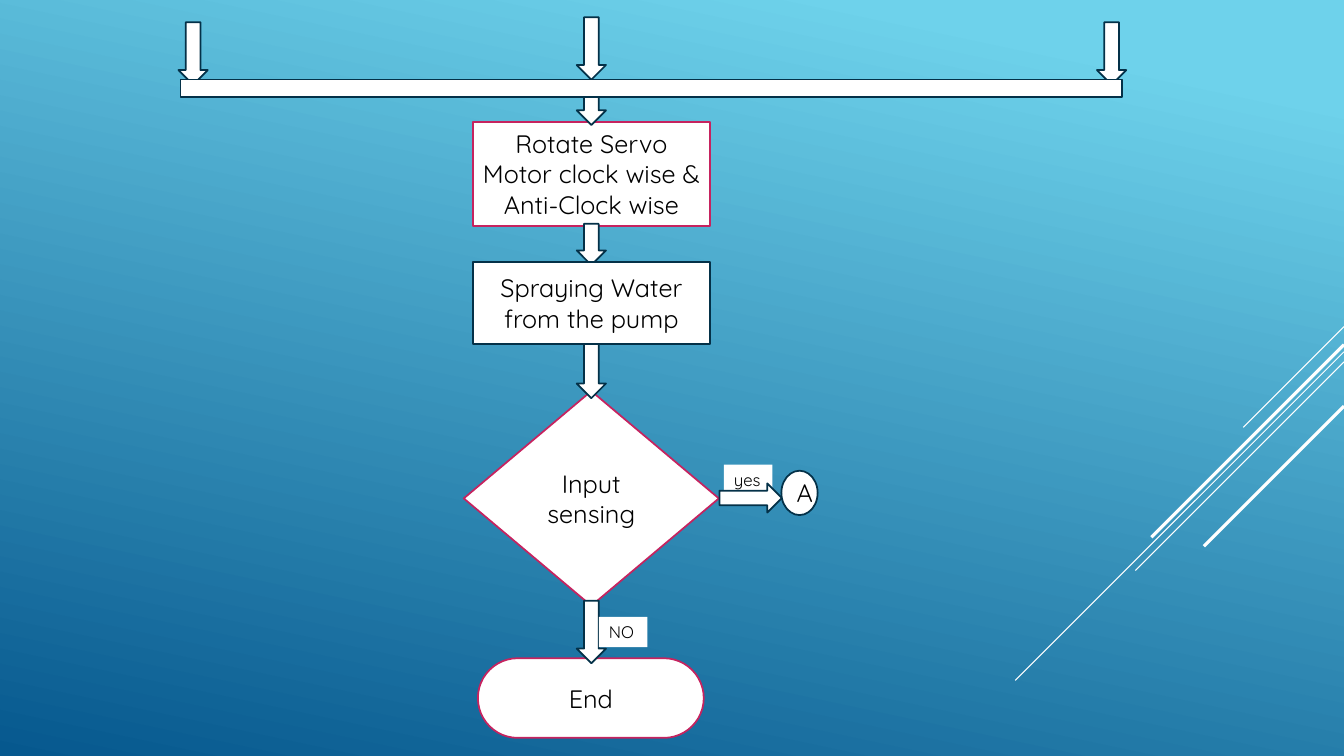
from collections import namedtuple
from pptx import Presentation
from pptx.dml.color import RGBColor
from pptx.enum.shapes import MSO_CONNECTOR as Connector, MSO_SHAPE as Shape
from pptx.enum.text import MSO_ANCHOR as Anchor, PP_ALIGN as Align
from pptx.oxml.ns import qn
from pptx.util import Inches, Pt

Box = namedtuple("Box", "left top width height")

WHITE, BLACK, NAVY, CRIMSON = "FFFFFF", "000000", "043148", "C6235F"
ARROW_WIDTH, ARROW_LENGTH = 0.29, 0.62
STEP_FONT = {"name": "Quicksand", "size": Pt(18)}
LABEL_FONT = {"name": "Quicksand", "size": Pt(12)}


def color(value):
    return RGBColor.from_string(value)


def inside(box, left, top, width, height):
    return Box(box.left + left, box.top + top, width, height)


def apply_format(target, values):
    for name, value in values.items():
        setattr(target, name, value)


def add_part(page, kind, box, outline=NAVY):
    part = page.shapes.add_shape(kind, *map(Inches, box))
    part.shadow.inherit = False
    part.fill.solid()
    part.fill.fore_color.rgb = color(WHITE)
    if outline:
        part.line.color.rgb = color(outline)
        part.line.width = Pt(1.25)
    else:
        part.line.fill.background()
    return part


def write(part, text, font, align, anchor):
    apply_format(part.text_frame, {"word_wrap": True, "vertical_anchor": anchor})
    para = part.text_frame.paragraphs[0]
    para.alignment = align
    span = para.add_run()
    span.text = text
    apply_format(span.font, font)
    span.font.color.rgb = color(BLACK)


def add_step(page, kind, box, text, outline=NAVY):
    step = add_part(page, kind, box, outline)
    write(step, text, STEP_FONT, Align.CENTER, Anchor.MIDDLE)
    return step


def add_label(page, box, text):
    label = add_part(page, Shape.RECTANGLE, box, None)
    write(label, text, LABEL_FONT, Align.LEFT, Anchor.TOP)


def add_arrow(page, box, left, top, length=ARROW_LENGTH):
    return add_part(page, Shape.DOWN_ARROW, inside(box, left, top, ARROW_WIDTH, length))


def paint_background(page):
    fill = page.background.fill
    fill.gradient()
    fill.gradient_angle = 258
    for stop, (position, value) in zip(fill.gradient_stops, [(0.1, "6ED2EB"), (1, "06588E")]):
        stop.position = position
        stop.color.rgb = color(value)


def draw_streaks(page, box):
    right = box.left + box.width
    streaks = [(0, 1, 0.75), (0.25, 3.26, 0.75), (0.35, 2.07, 0.75), (0.18, 1.91, 2.25), (0.79, 1.39, 2.25)]
    for drop, reach, weight in streaks:
        top = box.top + drop
        ends = (right, top, right - reach, top + reach)
        streak = page.shapes.add_connector(Connector.STRAIGHT, *map(Inches, ends))
        streak.line.color.rgb = color(WHITE)
        streak.line.width = Pt(weight)
        streak._element.spPr.append(streak._element.makeelement(qn("a:effectLst"), {}))


def draw_decision(page, box):
    end = add_step(page, Shape.ROUNDED_RECTANGLE, inside(box, 0.14, 2.65, 2.24, 0.79), "End", CRIMSON)
    end.adjustments[0] = 0.5
    add_step(page, Shape.DIAMOND, inside(box, 0, 0, 2.53, 2.13), "Input sensing", CRIMSON)
    add_arrow(page, box, 1.12, 2.08)
    add_label(page, inside(box, 1.34, 2.24, 0.48, 0.3), "NO")
    add_label(page, inside(box, 2.58, 0.73, 0.48, 0.3), "yes")
    add_arrow(page, box, 2.7, 0.75).rotation = 270
    add_step(page, Shape.OVAL, inside(box, 3.15, 0.79, 0.36, 0.44), "A")


def draw_steps(page, box):
    add_step(page, Shape.RECTANGLE, inside(box, 0, 0, box.width, 1.03),
             "Rotate Servo Motor clock wise & Anti-Clock wise", CRIMSON)
    for top, length in [(-0.34, 0.37), (1.01, 0.41), (2.12, ARROW_LENGTH)]:
        add_arrow(page, box, (box.width - ARROW_WIDTH) / 2, top, length)
    add_step(page, Shape.RECTANGLE, inside(box, 0, 1.39, box.width, 0.81), "Spraying Water from the pump")


def draw_merge(page, box):
    for left, top in [(-0.02, 0.05), (3.93, 0), (9.09, 0.05)]:
        add_arrow(page, box, left, top)
    add_part(page, Shape.RECTANGLE, inside(box, 0, 0.62, box.width, 0.17))


def main():
    deck = Presentation()
    deck.slide_width, deck.slide_height = Inches(13.33), Inches(7.5)
    page = deck.slides.add_slide(deck.slide_layouts[6])
    paint_background(page)
    draw_streaks(page, Box(10.07, 3.24, 3.26, 3.51))
    draw_decision(page, Box(4.6, 3.88, 3.51, 3.44))
    draw_steps(page, Box(4.69, 1.21, 2.35, 2.2))
    draw_merge(page, Box(1.79, 0.17, 9.34, 0.79))
    deck.save("out.pptx")


if __name__ == "__main__":
    main()
